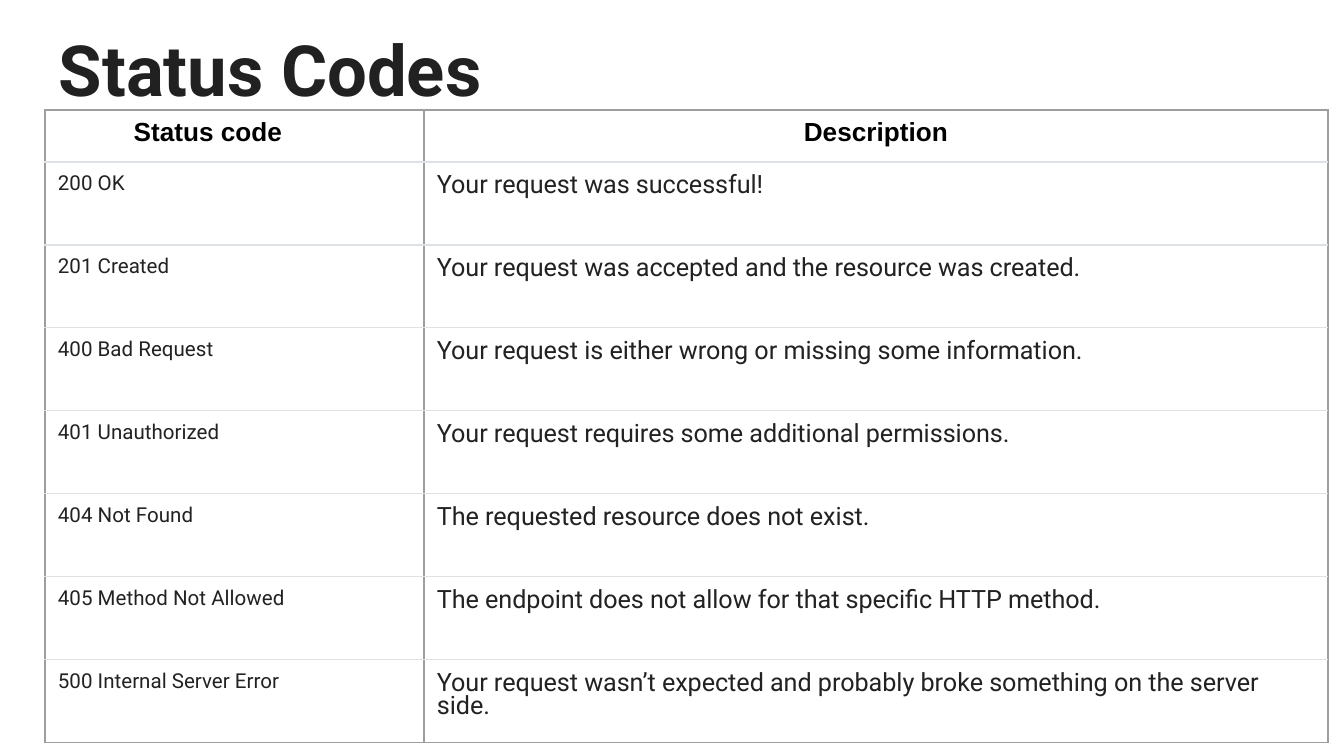
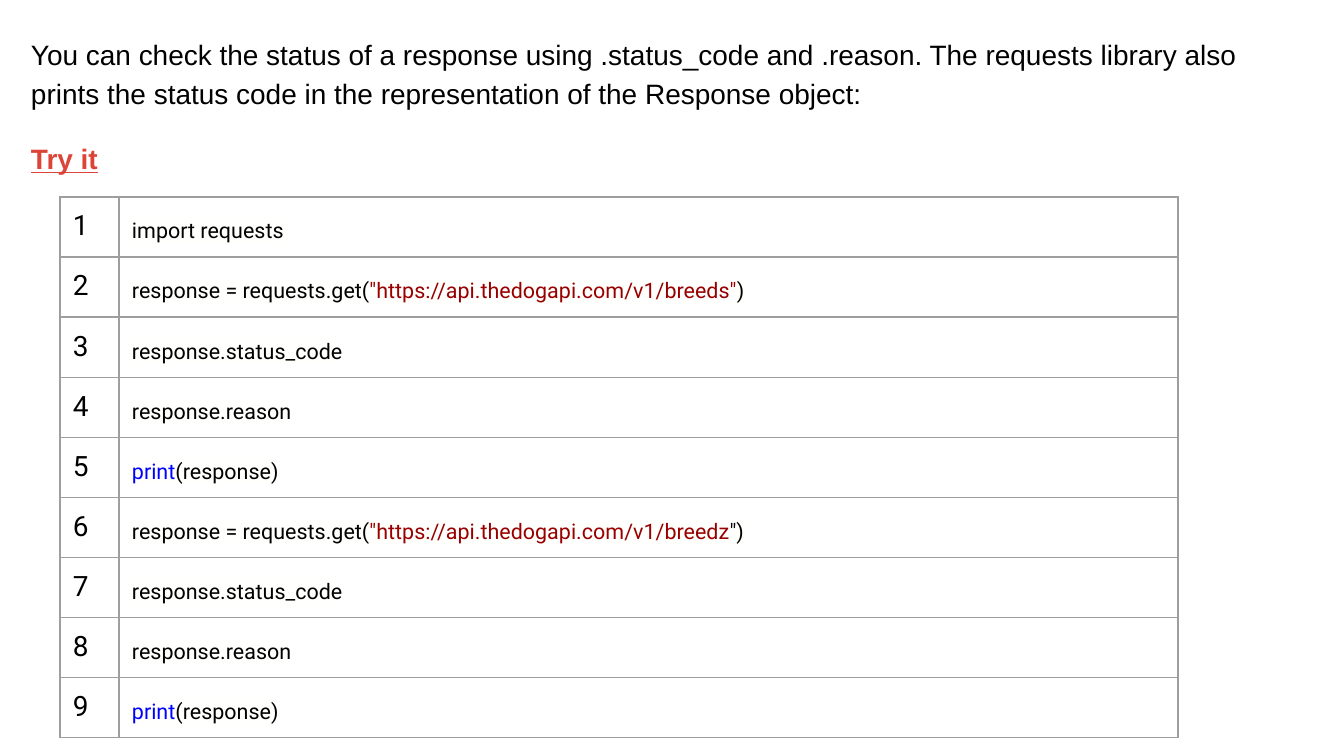
import pptx
import pptx.dml.color
import pptx.enum.text
import pptx.oxml
import pptx.oxml.ns
import pptx.util

# Content
TITLE = "Status Codes"
HEADERS = ["Status code\t", "Description"]
STATUS_CODES = [
    ("200 OK", "Your request was successful!"),
    ("201 Created", "Your request was accepted and the resource was created."),
    ("400 Bad Request", "Your request is either wrong or missing some information."),
    ("401 Unauthorized", "Your request requires some additional permissions."),
    ("404 Not Found", "The requested resource does not exist."),
    ("405 Method Not Allowed", "The endpoint does not allow for that specific HTTP method."),
    ("500 Internal Server Error",
     "Your request wasn’t expected and probably broke something on the server side."),
]
INTRO = ("You can check the status of a response using .status_code and .reason. "
         "The requests library also prints the status code in the representation "
         "of the Response object:")
TRY_IT = "Try it"

BLACK, INK, TITLE_INK = "000000", "222222", "212121"
STRING, KEYWORD, ACCENT = "980000", "0000FF", "DB4437"
GREY, PALE, CODE_BACK, WHITE = "9E9E9E", "DEE2E6", "FFFFFE", "FFFFFF"

# Each code line is a list of (text, colour) pieces
INSPECT = [
    [("response.status_code", BLACK)],
    [("response.reason", BLACK)],
    [("print", KEYWORD), ("(response)", BLACK)],
]
CODE = [
    [("import requests", BLACK)],
    [("response = requests.get(", BLACK),
     ('"https://api.thedogapi.com/v1/breeds"', STRING), (")", BLACK)],
    *INSPECT,
    [("response = requests.get(", BLACK),
     ('"https://api.thedogapi.com/v1/breedz', STRING), ('")', BLACK)],
    *INSPECT,
]

# Layout in px
SLIDE_W, SLIDE_H = 1344, 756
SCALE = 914400 * 10 / SLIDE_W
INSET = 13
CENTER = pptx.enum.text.PP_ALIGN.CENTER
LEFT = pptx.enum.text.PP_ALIGN.LEFT


def px(n):
    return pptx.util.Emu(round(n * SCALE))


def rgb(value):
    return pptx.dml.color.RGBColor.from_string(value)


def write(p, text, size, font="Roboto", color=BLACK, bold=False, underline=None,
          align=LEFT, spacing=None, before=None, highlight=None):
    """Add one run to a paragraph and format both."""
    p.alignment = align
    if spacing:
        p.line_spacing = spacing
    if before is not None:
        p.space_before = pptx.util.Pt(before)
    r = p.add_run()
    r.text = text
    r.font.name, r.font.size = font, pptx.util.Pt(size)
    r.font.bold, r.font.underline = bold, underline
    r.font.color.rgb = rgb(color)
    if highlight:
        fill = r.font._element.find(pptx.oxml.ns.qn("a:solidFill"))
        fill.addnext(pptx.oxml.parse_xml(
            f'<a:highlight {pptx.oxml.ns.nsdecls("a")}>'
            f'<a:srgbClr val="{highlight}"/></a:highlight>'))


def set_frame(tf, anchor):
    tf.word_wrap = True
    tf.auto_size = pptx.enum.text.MSO_AUTO_SIZE.NONE
    tf.vertical_anchor = anchor
    tf.margin_left = tf.margin_right = tf.margin_top = tf.margin_bottom = px(INSET)


def set_borders(cell, top, bottom):
    tc_pr = cell._tc.get_or_add_tcPr()
    for i, (side, color) in enumerate(zip("LRTB", (GREY, GREY, top, bottom))):
        tc_pr.insert(i, pptx.oxml.parse_xml(
            f'<a:ln{side} {pptx.oxml.ns.nsdecls("a")} w="9525"><a:solidFill>'
            f'<a:srgbClr val="{color}"/></a:solidFill></a:ln{side}>'))


def add_grid(s, left, top, col_widths, row_heights, inner):
    """Add an unfilled table with a grey frame and inner row lines."""
    n = len(row_heights)
    table = s.shapes.add_table(n, len(col_widths), px(left), px(top),
                               px(sum(col_widths)), px(sum(row_heights))).table
    table.first_row = table.horz_banding = False
    for col, width in zip(table.columns, col_widths):
        col.width = px(width)
    for i, (row, height) in enumerate(zip(table.rows, row_heights)):
        row.height = px(height)
        for cell in row.cells:
            cell.fill.background()
            cell.margin_left = cell.margin_right = px(INSET)
            cell.margin_top = cell.margin_bottom = px(INSET)
            set_borders(cell, inner if i else GREY, inner if i < n - 1 else GREY)
    return table


def add_slide(prs, layout):
    s = prs.slides.add_slide(prs.slide_layouts[layout])
    s.background.fill.solid()
    s.background.fill.fore_color.rgb = rgb(WHITE)
    return s


def status_slide(prs):
    s = add_slide(prs, 5)
    title = s.shapes.title
    title.left, title.top, title.width, title.height = px(46), px(9), px(1253), px(118)
    set_frame(title.text_frame, pptx.enum.text.MSO_ANCHOR.MIDDLE)
    write(title.text_frame.paragraphs[0], TITLE, 37.8, color=TITLE_INK, bold=True)

    heights = [52] + [83] * len(STATUS_CODES)
    table = add_grid(s, 45, 110, [379, 904], heights, PALE)
    for c, header in enumerate(HEADERS):
        write(table.cell(0, c).text_frame.paragraphs[0], header, 14, font="Arial",
              bold=True, align=CENTER, spacing=0.8)
    for i, row in enumerate(STATUS_CODES, 1):
        for c, (text, size) in enumerate(zip(row, (11, 13.5))):
            write(table.cell(i, c).text_frame.paragraphs[0], text, size,
                  color=INK, spacing=0.8)


def code_slide(prs):
    s = add_slide(prs, 6)
    tf = s.shapes.add_textbox(px(18), px(20), px(1308), px(681)).text_frame
    set_frame(tf, pptx.enum.text.MSO_ANCHOR.TOP)
    write(tf.paragraphs[0], INTRO, 15, font="Arial", spacing=1.15)
    write(tf.add_paragraph(), TRY_IT, 15, font="Arial", color=ACCENT, bold=True,
          underline=True, spacing=1.15, before=14)

    table = add_grid(s, 60, 197, [59, 1059], [58] * len(CODE), GREY)
    for i, line in enumerate(CODE):
        write(table.cell(i, 0).text_frame.paragraphs[0], str(i + 1), 15)
        for text, color in line:
            write(table.cell(i, 1).text_frame.paragraphs[0], text, 11.5, color=color,
                  spacing=1.36, highlight=CODE_BACK)


def main():
    prs = pptx.Presentation()
    prs.slide_width, prs.slide_height = px(SLIDE_W), px(SLIDE_H)
    status_slide(prs)
    code_slide(prs)
    prs.save("out.pptx")


if __name__ == "__main__":
    main()
